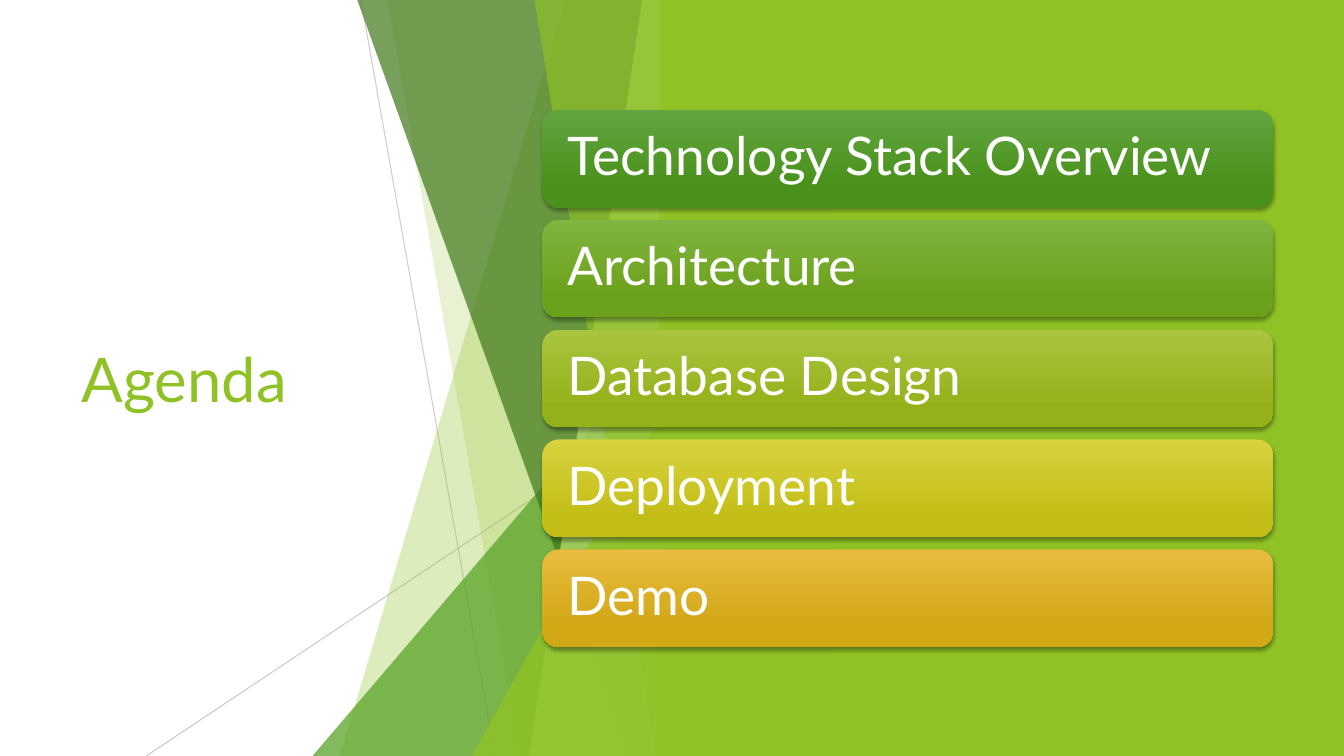
from lxml.etree import SubElement
from pptx import Presentation
from pptx.dml.color import RGBColor
from pptx.enum.shapes import MSO_CONNECTOR, MSO_SHAPE
from pptx.enum.text import MSO_ANCHOR, PP_ALIGN
from pptx.oxml.ns import qn
from pptx.util import Inches, Pt

WIDE, HIGH = 13.33, 7.5
FONT = "Lato"
LIME, WHITE = "90C226", "FFFFFF"

TITLE = "Agenda"
# label, top colour, base colour
TOPICS = [
    ("Technology Stack Overview", "61A540", "4A911B"),
    ("Architecture", "7FB540", "6CA11B"),
    ("Database Design", "A9C540", "95B11A"),
    ("Deployment", "D8D33E", "C3BE17"),
    ("Demo", "E8BC3E", "D2A817"),
]
BAR_X, BAR_Y, BAR_W, BAR_H, STEP = 5.38, 1.09, 7.25, 0.97, 1.09

# from, to, opacity
RAYS = [((3.58, 0), (4.91, HIGH), 75), ((6.66, 4.03), (1.45, HIGH), 80)]
# Facets run to a shared right edge.
# Slab: top x, foot x, colour, opacity; wedge: left x, peak y, colour, opacity
EDGE, TOP = 6.66, -0.01
FACETS = [
    ("slab", 5.61, 3.37, LIME, 30),
    ("slab", 3.84, 5.16, LIME, 20),
    ("wedge", 3.1, 3.33, "54A021", 72),
    ("slab", 3.54, 6.24, "3F7818", 70),
    ("slab", 6.37, 5.25, "BFE471", 70),
    ("slab", 5.3, 6.51, LIME, 65),
    ("wedge", 4.68, 3.93, LIME, 80),
]
PANEL_X = 6.54

deck = Presentation()
deck.slide_width, deck.slide_height = Inches(WIDE), Inches(HIGH)
slide = deck.slides.add_slide(deck.slide_layouts[6])
shapes = slide.shapes


def tint(color, code):
    color.rgb = RGBColor.from_string(code)


def fade(shape, alpha):
    """Set the opacity, in percent, of the shape's first colour."""
    color = next(shape._element.spPr.iter(qn("a:srgbClr")))
    SubElement(color, qn("a:alpha"), val=str(alpha * 1000))


def paint(shape, code):
    shape.shadow.inherit = False
    shape.fill.solid()
    tint(shape.fill.fore_color, code)
    shape.line.fill.background()


def write(shape, text, size, code, pads, space=1.0):
    frame = shape.text_frame
    frame.word_wrap = True
    frame.vertical_anchor = MSO_ANCHOR.MIDDLE
    frame.margin_left = frame.margin_right = Inches(pads[0])
    frame.margin_top = frame.margin_bottom = Inches(pads[1])
    para = frame.paragraphs[0]
    para.alignment = PP_ALIGN.LEFT
    para.line_spacing = space
    run = para.add_run()
    run.text = text
    run.font.name, run.font.size = FONT, Pt(size)
    tint(run.font.color, code)


def add_ray(start, end, alpha):
    ray = shapes.add_connector(
        MSO_CONNECTOR.STRAIGHT, *map(Inches, start + end))
    ray.line.width = Pt(0.75)
    tint(ray.line.color, "BFBFBF")
    fade(ray, alpha)
    SubElement(ray._element.spPr, qn("a:effectLst"))


def add_slab(top_x, foot_x):
    pen = shapes.build_freeform(Inches(top_x), Inches(TOP), 1.0)
    rest = [(EDGE, TOP), (EDGE, HIGH), (foot_x, HIGH)]
    pen.add_line_segments([(Inches(x), Inches(y)) for x, y in rest])
    return pen.convert_to_shape()


def add_wedge(left, peak):
    wedge = shapes.add_shape(
        MSO_SHAPE.ISOSCELES_TRIANGLE, Inches(left), Inches(peak),
        Inches(EDGE - left), Inches(HIGH - peak))
    wedge.adjustments[0] = 1
    return wedge


def add_bar(row, label, light, base):
    bar = shapes.add_shape(
        MSO_SHAPE.ROUNDED_RECTANGLE, Inches(BAR_X),
        Inches(BAR_Y + row * STEP), Inches(BAR_W), Inches(BAR_H))
    bar.adjustments[0] = 0.167
    bar.line.fill.background()
    bar.fill.gradient()
    bar.fill.gradient_angle = 270
    for stop, place, code in zip(
            bar.fill.gradient_stops, (0, 0.78), (light, base)):
        stop.position = place
        tint(stop.color, code)
    bar.shadow.inherit = False
    glow = SubElement(
        bar._element.spPr.find(qn("a:effectLst")), qn("a:outerShdw"),
        blurRad=str(Pt(3)), dist=str(Pt(2)), dir="5400000", rotWithShape="0")
    black = SubElement(glow, qn("a:srgbClr"), val="000000")
    SubElement(black, qn("a:alpha"), val="35000")
    write(bar, label, 38, WHITE, (0.2, 0.2), 0.9)


slide.background.fill.solid()
tint(slide.background.fill.fore_color, WHITE)

title = shapes.add_textbox(*map(Inches, (0.71, 1.51, 3.88, 4.48)))
write(title, TITLE, 44, LIME, (0.1, 0.05))

for ray in RAYS:
    add_ray(*ray)
for kind, first, second, code, alpha in FACETS:
    facet = (add_slab if kind == "slab" else add_wedge)(first, second)
    paint(facet, code)
    fade(facet, alpha)

panel = shapes.add_shape(
    MSO_SHAPE.RECTANGLE, Inches(PANEL_X), 0,
    Inches(WIDE - PANEL_X), Inches(HIGH))
paint(panel, LIME)

for row, topic in enumerate(TOPICS):
    add_bar(row, *topic)

deck.save("out.pptx")
